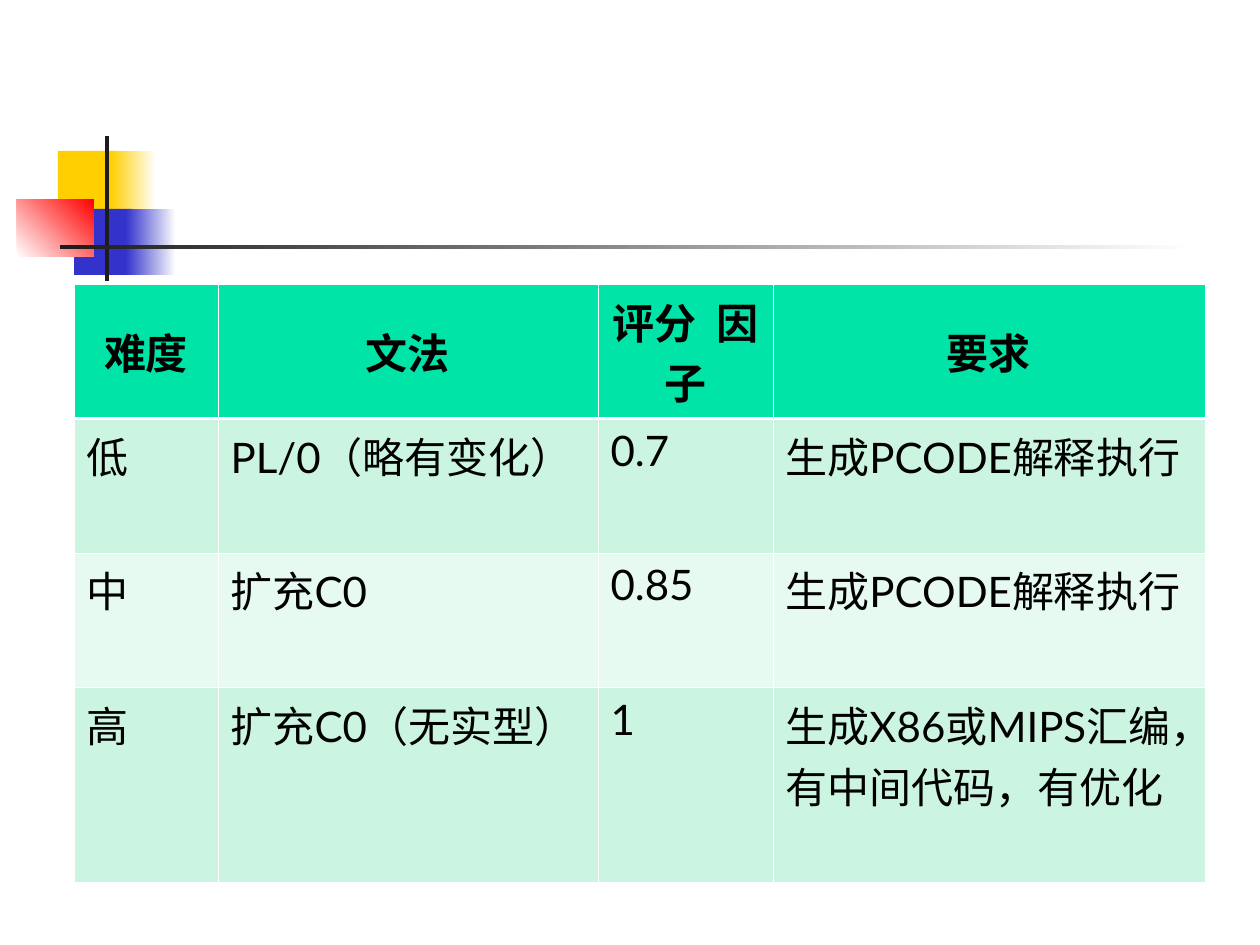
from dataclasses import dataclass

from lxml import etree
from pptx import Presentation
from pptx.dml.color import RGBColor
from pptx.enum.lang import MSO_LANGUAGE_ID
from pptx.enum.shapes import MSO_SHAPE
from pptx.enum.text import MSO_ANCHOR, PP_ALIGN
from pptx.oxml.ns import qn
from pptx.util import Emu, Pt

RECTANGLE = MSO_SHAPE.RECTANGLE
CENTER, LEFT = PP_ALIGN.CENTER, PP_ALIGN.LEFT
MIDDLE, TOP = MSO_ANCHOR.MIDDLE, MSO_ANCHOR.TOP
CHINESE = MSO_LANGUAGE_ID.SIMPLIFIED_CHINESE
PIXELS_PER_INCH = 126


@dataclass(frozen=True)
class Theme:
    font: str = "Lato"
    text_size: int = 24
    text: str = "000000"
    white: str = "FFFFFF"
    yellow: str = "FFCF01"
    blue: str = "3333CC"
    red: str = "FF0000"
    dark: str = "1C1C1C"
    header: str = "00E4A8"
    bands: tuple[str, str] = ("CBF5E1", "E7FAF1")
    thin_border: float = 0.45
    header_border: float = 1.47


@dataclass(frozen=True)
class Block:
    """A plain rectangle, or a gradient one when end_color is given."""
    left: int
    top: int
    width: int
    height: int
    color: str
    end_color: str | None = None
    angle: int = 0


THEME = Theme()

ORNAMENT = [
    Block(58, 151, 60, 66, THEME.yellow),
    Block(111, 151, 45, 66, THEME.yellow, THEME.white),
    Block(74, 209, 58, 66, THEME.blue),
    Block(126, 209, 50, 66, THEME.blue, THEME.white),
    Block(17, 199, 77, 58, THEME.white, THEME.red, angle=45),
    Block(105, 136, 4, 145, THEME.dark),
    Block(60, 245, 1134, 4, THEME.dark, THEME.white),
]

TABLE_LEFT, TABLE_TOP = 74, 284
COLUMN_WIDTHS = [144, 380, 175, 432]
ROW_HEIGHTS = [113, 113, 113, 164]
GRADING_ROWS = [
    ["难度", "文法", "评分  因子", "要求"],
    ["低", "PL/0（略有变化）", "0.7", "生成PCODE解释执行"],
    ["中", "扩充C0", "0.85", "生成PCODE解释执行"],
    ["高", "扩充C0（无实型）", "1", "生成X86或MIPS汇编，有中间代码，有优化"],
]


def px(length: int) -> Emu:
    return Emu(round(length * 914400 / PIXELS_PER_INCH))


def rgb(color: str) -> RGBColor:
    return RGBColor.from_string(color)


def draw_block(slide, block: Block) -> None:
    shape = slide.shapes.add_shape(
        RECTANGLE, px(block.left), px(block.top), px(block.width), px(block.height))
    shape.shadow.inherit = False
    shape.line.fill.background()
    if block.end_color is None:
        shape.fill.solid()
        shape.fill.fore_color.rgb = rgb(block.color)
        return
    shape.fill.gradient()
    shape.fill.gradient_angle = block.angle
    for stop, color, position in zip(
            shape.fill.gradient_stops, (block.color, block.end_color), (0, 1)):
        stop.color.rgb = rgb(color)
        stop.position = position


def write_text(text_frame, text: str, *, bold: bool = False, align=LEFT) -> None:
    paragraph = text_frame.paragraphs[0]
    paragraph.alignment = align
    run = paragraph.add_run()
    run.text = text
    run.font.name = THEME.font
    run.font.size = Pt(THEME.text_size)
    run.font.bold = bold
    run.font.color.rgb = rgb(THEME.text)
    run.font.language_id = CHINESE


def set_borders(cell, widths: dict[str, float]) -> None:
    """Add white borders; widths maps the sides L, R, T, B, in that order, to points."""
    properties = cell._tc.get_or_add_tcPr()
    for index, (side, width) in enumerate(widths.items()):
        line = etree.Element(qn(f"a:ln{side}"), w=str(Pt(width)))
        fill = etree.SubElement(line, qn("a:solidFill"))
        etree.SubElement(fill, qn("a:srgbClr"), val=THEME.white)
        properties.insert(index, line)


def draw_grading_table(slide) -> None:
    table = slide.shapes.add_table(
        len(ROW_HEIGHTS), len(COLUMN_WIDTHS), px(TABLE_LEFT), px(TABLE_TOP),
        px(sum(COLUMN_WIDTHS)), px(sum(ROW_HEIGHTS))).table
    for column, width in zip(table.columns, COLUMN_WIDTHS):
        column.width = px(width)
    for row_index, (row, height, texts) in enumerate(
            zip(table.rows, ROW_HEIGHTS, GRADING_ROWS)):
        row.height = px(height)
        is_header = row_index == 0
        color = THEME.header if is_header else THEME.bands[(row_index - 1) % 2]
        borders = dict.fromkeys("LRTB", THEME.thin_border)
        if is_header:
            borders["B"] = THEME.header_border
        elif row_index == 1:
            borders["T"] = THEME.header_border
        for cell, text in zip(row.cells, texts):
            cell.fill.solid()
            cell.fill.fore_color.rgb = rgb(color)
            cell.vertical_anchor = MIDDLE if is_header else TOP
            set_borders(cell, borders)
            write_text(cell.text_frame, text, bold=is_header,
                       align=CENTER if is_header else LEFT)


def main() -> None:
    presentation = Presentation()
    presentation.slide_width, presentation.slide_height = px(1260), px(945)
    slide = presentation.slides.add_slide(presentation.slide_layouts[6])
    for block in ORNAMENT:
        draw_block(slide, block)
    draw_grading_table(slide)
    presentation.save("out.pptx")


if __name__ == "__main__":
    main()
